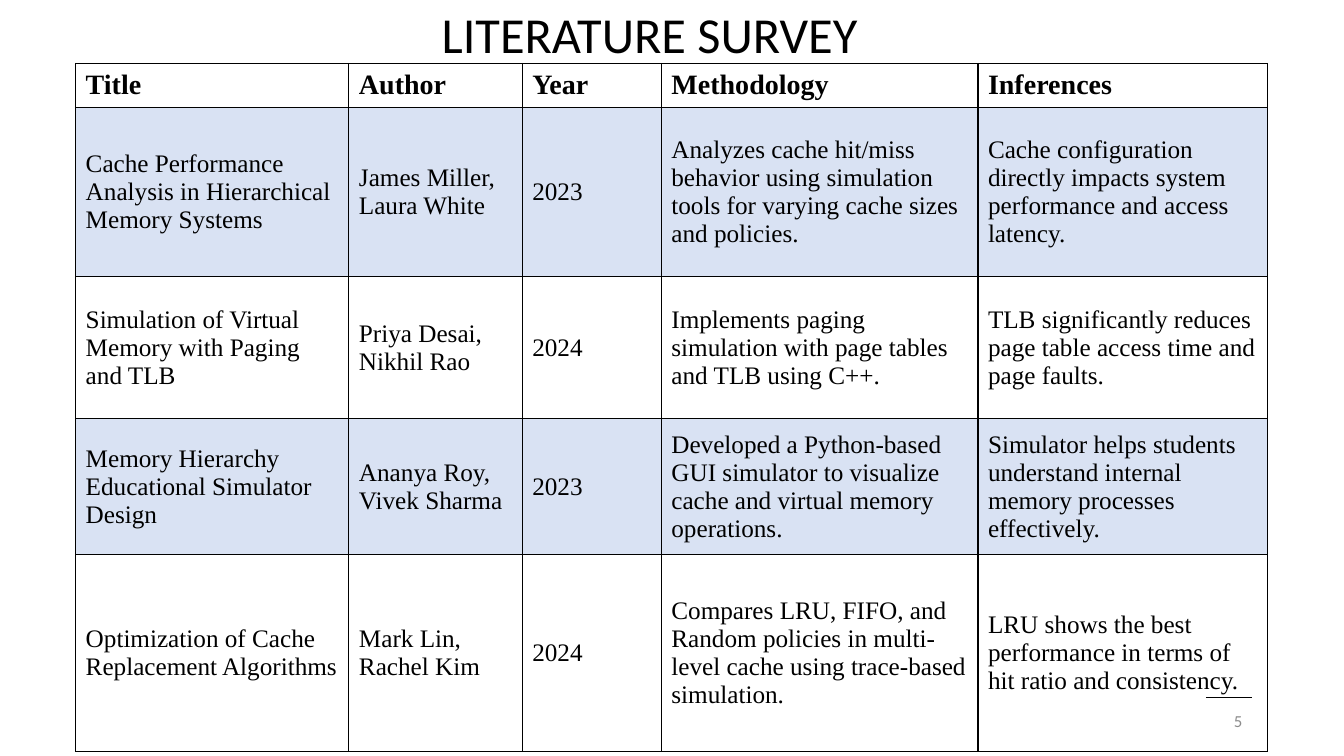
from dataclasses import dataclass

from lxml import etree
from pptx import Presentation
from pptx.dml.color import RGBColor
from pptx.enum.shapes import MSO_CONNECTOR
from pptx.enum.text import MSO_ANCHOR, MSO_AUTO_SIZE, PP_ALIGN
from pptx.oxml.ns import qn
from pptx.util import Inches, Pt

STRAIGHT = MSO_CONNECTOR.STRAIGHT
MIDDLE = MSO_ANCHOR.MIDDLE
LEFT, RIGHT = PP_ALIGN.LEFT, PP_ALIGN.RIGHT
NO_AUTOFIT = MSO_AUTO_SIZE.NONE
TITLE_ONLY = 5


@dataclass(frozen=True)
class Theme:
    ink: str = "000000"
    muted: str = "8C8C8C"
    band: str = "4472C4"
    band_opacity: int = 20
    heading_font: str = "Calibri"
    table_font: str = "Times New Roman"
    title_size: int = 36
    header_size: int = 20
    body_size: int = 18
    number_size: int = 12
    border_width: float = 1
    rule_width: float = 1.25


class SurveySlide:
    """Places elements on one slide; every length is a percentage of its size."""

    def __init__(self, deck, theme):
        self.deck = deck
        self.theme = theme
        self.slide = deck.slides.add_slide(deck.slide_layouts[TITLE_ONLY])

    def across(self, share):
        return round(self.deck.slide_width * share / 100)

    def down(self, share):
        return round(self.deck.slide_height * share / 100)

    def box(self, left, top, width, height):
        return self.across(left), self.down(top), self.across(width), self.down(height)

    def set_text(self, frame, text, font, size, color, align=LEFT, bold=False):
        frame.text = text
        frame.word_wrap = True
        frame.vertical_anchor = MIDDLE
        paragraph = frame.paragraphs[0]
        paragraph.alignment = align
        style = paragraph.runs[0].font
        style.name, style.size, style.bold = font, Pt(size), bold
        style.color.rgb = RGBColor.from_string(color)
        return paragraph

    def title(self, text, *area):
        heading = self.slide.shapes.title
        heading.left, heading.top, heading.width, heading.height = self.box(*area)
        heading.text_frame.auto_size = NO_AUTOFIT
        paragraph = self.set_text(heading.text_frame, text, self.theme.heading_font,
                                  self.theme.title_size, self.theme.ink)
        paragraph.line_spacing = 0.9

    def page_number(self, text, *area):
        number = self.slide.shapes.add_textbox(*self.box(*area))
        self.set_text(number.text_frame, text, self.theme.heading_font,
                      self.theme.number_size, self.theme.muted, RIGHT)

    def rule(self, start, end, top):
        line = self.slide.shapes.add_connector(
            STRAIGHT, self.across(start), self.down(top), self.across(end), self.down(top))
        line.line.color.rgb = RGBColor.from_string(self.theme.ink)
        line.line.width = Pt(self.theme.rule_width)
        etree.SubElement(line._element.spPr, qn("a:effectLst"))

    def border(self, cell):
        properties = cell._tc.get_or_add_tcPr()
        for side in ("a:lnL", "a:lnR", "a:lnT", "a:lnB"):
            edge = etree.SubElement(properties, qn(side), w=str(Pt(self.theme.border_width)))
            fill = etree.SubElement(edge, qn("a:solidFill"))
            etree.SubElement(fill, qn("a:srgbClr"), val=self.theme.ink)

    def shade(self, cell, banded):
        if not banded:
            cell.fill.background()
            return
        cell.fill.solid()
        cell.fill.fore_color.rgb = RGBColor.from_string(self.theme.band)
        tint = cell._tc.tcPr.find(qn("a:solidFill") + "/" + qn("a:srgbClr"))
        etree.SubElement(tint, qn("a:alpha"), val=str(self.theme.band_opacity * 1000))

    def table(self, records, left, top, widths, heights):
        area = self.box(left, top, sum(widths), sum(heights))
        grid = self.slide.shapes.add_table(len(heights), len(widths), *area).table
        grid.first_row = grid.horz_banding = False
        for column, width in zip(grid.columns, widths):
            column.width = self.across(width)
        for row, height in zip(grid.rows, heights):
            row.height = self.down(height)
        for r, record in enumerate(records):
            header = r == 0
            size = self.theme.header_size if header else self.theme.body_size
            for c, text in enumerate(record):
                cell = grid.cell(r, c)
                self.set_text(cell.text_frame, text, self.theme.table_font, size,
                              self.theme.ink, bold=header)
                cell.vertical_anchor = MIDDLE
                self.border(cell)
                self.shade(cell, banded=r % 2 == 1)


SURVEY = [
    ("Title", "Author", "Year", "Methodology", "Inferences"),
    ("Cache Performance Analysis in Hierarchical Memory Systems",
     "James Miller, Laura White", "2023",
     "Analyzes cache hit/miss behavior using simulation tools for varying cache sizes and policies.",
     "Cache configuration directly impacts system performance and access latency."),
    ("Simulation of Virtual Memory with Paging and TLB",
     "Priya Desai, Nikhil Rao", "2024",
     "Implements paging simulation with page tables and TLB using C++.",
     "TLB significantly reduces page table access time and page faults."),
    ("Memory Hierarchy Educational Simulator Design",
     "Ananya Roy, Vivek Sharma", "2023",
     "Developed a Python-based GUI simulator to visualize cache and virtual memory operations.",
     "Simulator helps students understand internal memory processes effectively."),
    ("Optimization of Cache Replacement Algorithms",
     "Mark Lin, Rachel Kim", "2024",
     "Compares LRU, FIFO, and Random policies in multi-level cache using trace-based simulation.",
     "LRU shows the best performance in terms of hit ratio and consistency."),
]
COLUMN_SHARES = (20.33, 12.9, 10.35, 23.56, 21.53)
ROW_SHARES = (5.33, 22.4, 18.8, 18, 26)


def main():
    deck = Presentation()
    deck.slide_width, deck.slide_height = Inches(13.33), Inches(7.5)
    survey = SurveySlide(deck, Theme())
    survey.rule(89.72, 93.17, 92.27)
    survey.title("LITERATURE SURVEY", 32.11, 1.47, 36.38, 6.93)
    survey.page_number("5", 70.67, 92.67, 22.5, 5.33)
    survey.table(SURVEY, 5.63, 8.4, COLUMN_SHARES, ROW_SHARES)
    deck.save("out.pptx")


if __name__ == "__main__":
    main()
